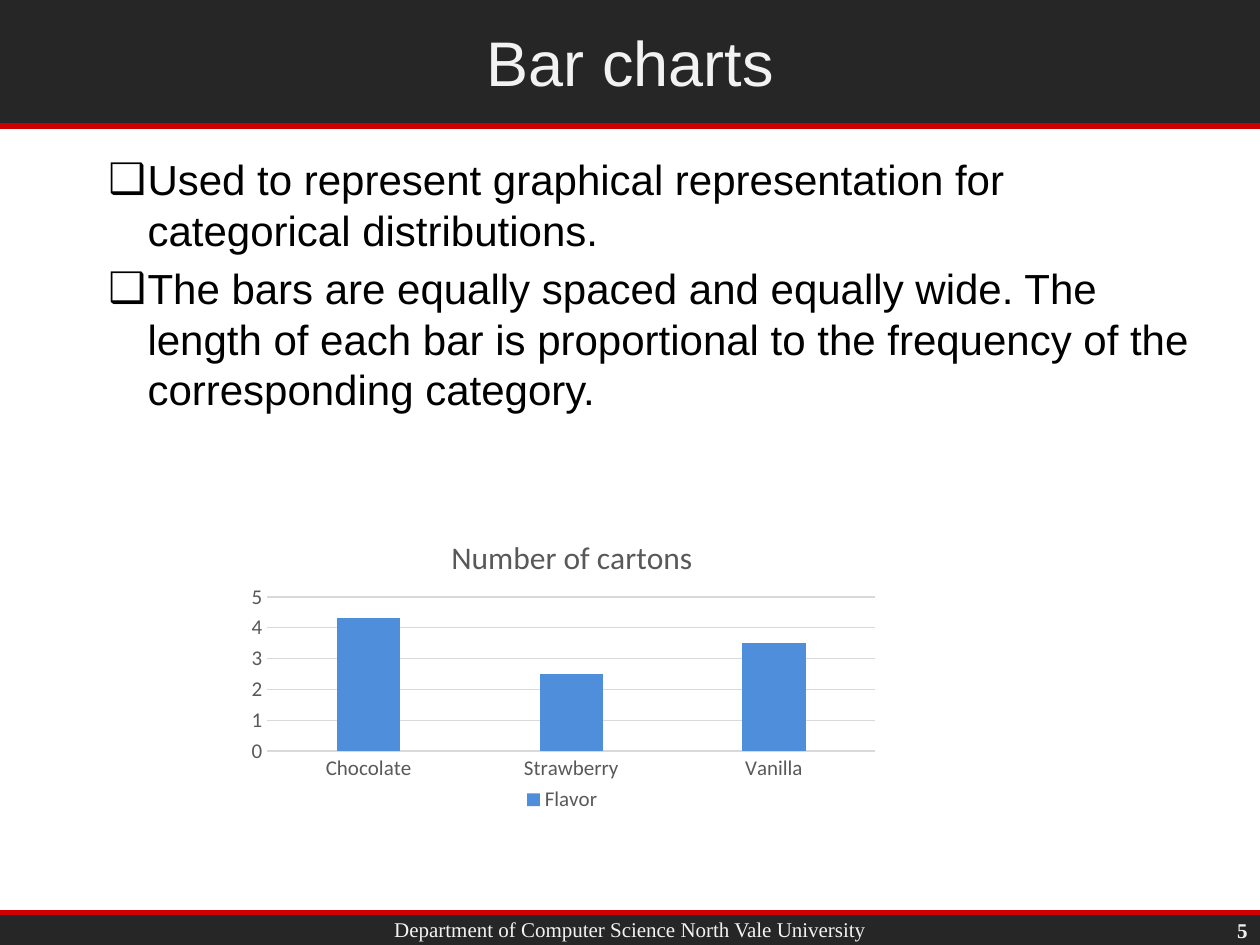
from dataclasses import dataclass

from lxml.etree import SubElement
from pptx import Presentation
from pptx.chart.data import CategoryChartData
from pptx.dml.color import RGBColor
from pptx.enum.chart import XL_CHART_TYPE as ChartType, XL_LEGEND_POSITION as LegendPosition
from pptx.enum.chart import XL_TICK_MARK as TickMark
from pptx.enum.shapes import MSO_CONNECTOR as Connector, MSO_SHAPE as ShapeType
from pptx.enum.text import MSO_ANCHOR as Anchor, MSO_AUTO_SIZE as AutoSize, PP_ALIGN as Align
from pptx.oxml import parse_xml
from pptx.oxml.ns import nsdecls, qn
from pptx.util import Cm, Pt


@dataclass(frozen=True)
class Theme:
    dark: str = "262626"
    red: str = "CC0000"
    light: str = "F2F2F2"
    ink: str = "000000"
    gray: str = "595959"
    grid: str = "D9D9D9"
    bar: str = "4E8EDB"
    heading_font: str = "Arial"
    footer_font: str = "Times New Roman"
    chart_font: str = "Calibri"
    title_size: float = 36
    body_size: float = 24
    chart_title_size: float = 18
    small_size: float = 12


def style_font(font, name, size, color, bold=False):
    font.name, font.size, font.bold = name, Pt(size), bold
    font.color.rgb = RGBColor.from_string(color)


def write_text(frame, lines, *, font, size, color, bold=False, align=Align.LEFT,
               anchor=Anchor.TOP, bullet=None, indent=0, space_before=0):
    frame.word_wrap = True
    frame.auto_size = AutoSize.NONE
    frame.vertical_anchor = anchor
    for index, line in enumerate(lines):
        paragraph = frame.add_paragraph() if index else frame.paragraphs[0]
        paragraph.alignment = align
        paragraph.space_before = Pt(space_before)
        run = paragraph.add_run()
        run.text = line
        style_font(run.font, font, size, color, bold)
        if bullet:
            properties = paragraph._p.get_or_add_pPr()
            properties.set("marL", str(Cm(indent)))
            properties.set("indent", str(-Cm(indent)))
            SubElement(properties, qn("a:buChar")).set("char", bullet)


class SlideBuilder:
    def __init__(self, slide, theme):
        self.slide, self.theme = slide, theme

    def band(self, top, height):
        shape = self.slide.shapes.add_shape(
            ShapeType.RECTANGLE, 0, Cm(top), Cm(25.4), Cm(height))
        shape.shadow.inherit = False
        shape.fill.solid()
        shape.fill.fore_color.rgb = RGBColor.from_string(self.theme.dark)
        shape.line.fill.background()

    def rule(self, top):
        line = self.slide.shapes.add_connector(
            Connector.STRAIGHT, 0, Cm(top), Cm(25.4), Cm(top))
        line.line.color.rgb = RGBColor.from_string(self.theme.red)
        line.line.width = Pt(3)
        SubElement(line.element.spPr, qn("a:effectLst"))

    def text(self, box, line, **style):
        shape = self.slide.shapes.add_textbox(*map(Cm, box))
        write_text(shape.text_frame, [line], anchor=Anchor.MIDDLE,
                   font=self.theme.footer_font, size=self.theme.small_size,
                   color=self.theme.light, **style)

    def placeholder(self, index, box, lines, **style):
        shape = self.slide.placeholders[index]
        shape.left, shape.top, shape.width, shape.height = map(Cm, box)
        shape.element.getparent().append(shape.element)
        write_text(shape.text_frame, lines, font=self.theme.heading_font, **style)

    def column_chart(self, box, title, series_name, values):
        theme = self.theme
        data = CategoryChartData()
        data.categories = list(values)
        data.add_series(series_name, list(values.values()))
        chart = self.slide.shapes.add_chart(
            ChartType.COLUMN_CLUSTERED, *map(Cm, box), data).chart
        style_font(chart.font, theme.chart_font, theme.small_size, theme.gray)

        chart.has_title = True
        run = chart.chart_title.text_frame.paragraphs[0].add_run()
        run.text = title
        style_font(run.font, theme.chart_font, theme.chart_title_size, theme.gray)
        chart.has_legend = True
        chart.legend.position = LegendPosition.BOTTOM
        chart.legend.include_in_layout = False

        plot = chart.plots[0]
        plot.vary_by_categories = False
        plot.gap_width, plot.overlap = 219, -27
        fill = plot.series[0].format.fill
        fill.solid()
        fill.fore_color.rgb = RGBColor.from_string(theme.bar)

        category_axis, value_axis = chart.category_axis, chart.value_axis
        for axis in (category_axis, value_axis):
            axis.major_tick_mark = axis.minor_tick_mark = TickMark.NONE
            style_font(axis.tick_labels.font, theme.chart_font, theme.small_size, theme.gray)
        value_axis.minimum_scale, value_axis.maximum_scale = 0, 5
        value_axis.major_unit = 1
        value_axis.has_major_gridlines = True
        value_axis.format.line.fill.background()
        for line in (category_axis.format.line, value_axis.major_gridlines.format.line):
            line.color.rgb = RGBColor.from_string(theme.grid)
            line.width = Pt(0.75)

        self.chart_layout(chart, "title", 1, x=0.32, y=0.08)
        self.chart_layout(chart, "plotArea", 0, x=0.045, y=0.284, w=0.937, h=0.471)
        self.chart_layout(chart, "legend", 1, x=0.435, y=0.85)

    def chart_layout(self, chart, part_name, position, **fractions):
        part = chart.element.xpath(f"c:chart/c:{part_name}")[0]
        for old in part.findall(qn("c:layout")):
            part.remove(old)
        target = '<c:layoutTarget val="inner"/>' if "w" in fractions else ""
        modes = "".join(f'<c:{axis}Mode val="edge"/>' for axis in "xy")
        sizes = "".join(f'<c:{key} val="{value}"/>' for key, value in fractions.items())
        part.insert(position, parse_xml(
            f'<c:layout {nsdecls("c")}><c:manualLayout>{target}{modes}{sizes}'
            "</c:manualLayout></c:layout>"))


def main():
    presentation = Presentation()
    presentation.slide_width, presentation.slide_height = Cm(25.4), Cm(19.05)
    theme = Theme()
    builder = SlideBuilder(
        presentation.slides.add_slide(presentation.slide_layouts[1]), theme)

    for top, height, rule_top in ((18.39, 0.66, 18.39), (0, 2.54, 2.54)):
        builder.band(top, height)
        builder.rule(rule_top)
    builder.text((2.57, 18.36, 20.27, 0.76),
                 "Department of Computer Science North Vale University", align=Align.CENTER)
    builder.placeholder(
        1, (1.93, 2.97, 22.3, 15.24),
        ["Used to represent graphical representation for categorical distributions.",
         "The bars are equally spaced and equally wide. The length of each bar is "
         "proportional to the frequency of the corresponding category."],
        size=theme.body_size, color=theme.ink, bullet="❑", indent=0.79, space_before=4.8)
    builder.text((23.57, 18.42, 1.83, 0.66), "5", bold=True, align=Align.RIGHT)
    builder.placeholder(0, (2.57, 0.1, 20.27, 2.26), ["Bar charts"], size=theme.title_size,
                        color=theme.light, align=Align.CENTER, anchor=Anchor.MIDDLE)
    builder.column_chart((4.8, 10.16, 13.08, 6.6), "Number of cartons", "Flavor",
                         {"Chocolate": 4.3, "Strawberry": 2.5, "Vanilla": 3.5})
    presentation.save("out.pptx")


main()
